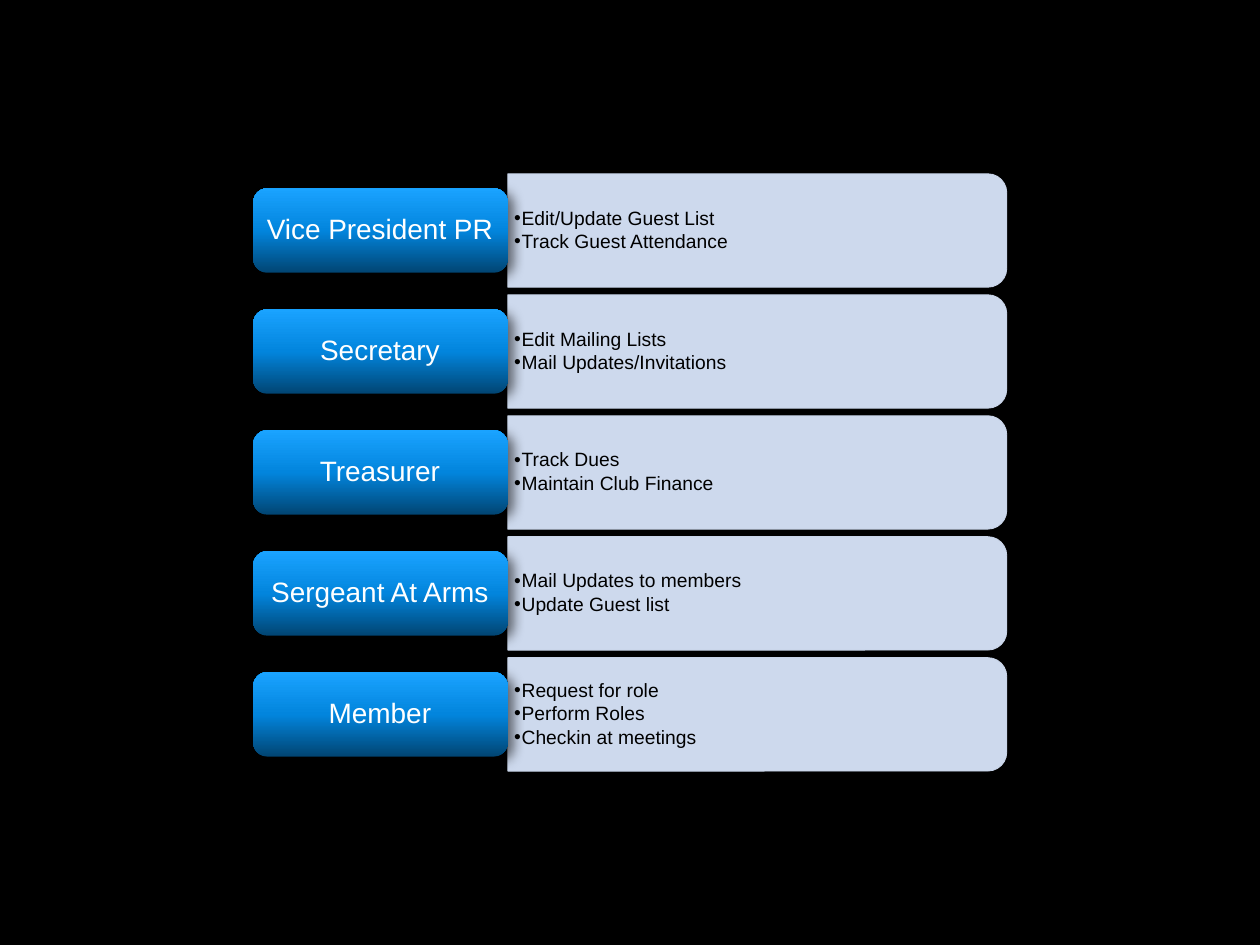
from dataclasses import dataclass

from lxml import etree
from pptx import Presentation
from pptx.dml.color import RGBColor
from pptx.enum.shapes import MSO_SHAPE
from pptx.enum.text import MSO_ANCHOR, PP_ALIGN
from pptx.oxml import parse_xml
from pptx.oxml.ns import qn
from pptx.util import Inches, Pt

ROUND, TOP_ROUND = MSO_SHAPE.ROUNDED_RECTANGLE, MSO_SHAPE.ROUND_2_SAME_RECTANGLE
MIDDLE = MSO_ANCHOR.MIDDLE
LEFT, CENTER = PP_ALIGN.LEFT, PP_ALIGN.CENTER
NS = 'xmlns:a="http://schemas.openxmlformats.org/drawingml/2006/main"'


@dataclass(frozen=True)
class Theme:
    font: str = "Arial"
    back: str = "000000"
    panel: str = "CDD9ED"
    edge: str = "C8D4E9"
    duty: str = "000000"
    title: str = "FFFFFF"
    shade: str = "000000"
    blend: tuple = ((0, "014573"), (50, "0285DD"), (100, "1AA3FF"))
    duty_size: int = 11
    title_size: int = 16


@dataclass(frozen=True)
class Role:
    title: str
    duties: tuple[str, ...]


THEME = Theme()
ROLES = (
    Role("Vice President PR", ("Edit/Update Guest List", "Track Guest Attendance")),
    Role("Secretary", ("Edit Mailing Lists", "Mail Updates/Invitations")),
    Role("Treasurer", ("Track Dues", "Maintain Club Finance")),
    Role("Sergeant At Arms", ("Mail Updates to members", "Update Guest list")),
    Role("Member", ("Request for role", "Perform Roles", "Checkin at meetings")),
)

# Row grid, in inches
FIRST, PITCH = 1.83, 0.96
LABEL_X, LABEL_W, LABEL_H = 2.01, 2.02, 0.67
PANEL_X, PANEL_W, PANEL_H = LABEL_X + LABEL_W, 3.96, 0.9


def add_text(slide, lines, x: float, mid: float, w: float, h: float, *, size: int,
             color: str, align=LEFT, pad=(0.05, 0.02), after: float = 0,
             bullet: bool = False) -> None:
    box = slide.shapes.add_textbox(Inches(x), Inches(mid - h / 2), Inches(w), Inches(h))
    frame = box.text_frame
    frame.word_wrap, frame.vertical_anchor = True, MIDDLE
    frame.margin_left = frame.margin_right = Inches(pad[0])
    frame.margin_top = frame.margin_bottom = Inches(pad[1])
    for i, line in enumerate(lines):
        para = frame.add_paragraph() if i else frame.paragraphs[0]
        para.alignment, para.line_spacing, para.space_after = align, 0.9, Pt(after)
        para.font.size = Pt(size)
        run = para.add_run()
        run.text = line
        run.font.name, run.font.size = THEME.font, Pt(size)
        run.font.color.rgb = RGBColor.from_string(color)
        if bullet:
            para.level = 1
            props = para._p.get_or_add_pPr()
            props.set("marL", str(Inches(0.06)))
            props.set("indent", str(Inches(-0.06)))
            mark = (parse_xml(f'<a:buFont {NS} typeface="{THEME.font}"/>'),
                    parse_xml(f'<a:buChar {NS} char="•"/>'))
            # Bullet settings come before the default run format
            for node in mark:
                props.find(qn("a:defRPr")).addprevious(node)


def add_panel(slide, mid: float, duties: tuple[str, ...]) -> None:
    # A quarter turn puts the rounded top on the right
    left = PANEL_X + (PANEL_W - PANEL_H) / 2
    panel = slide.shapes.add_shape(TOP_ROUND, Inches(left), Inches(mid - PANEL_W / 2),
                                   Inches(PANEL_H), Inches(PANEL_W))
    panel.rotation = 90
    panel.shadow.inherit = False
    panel.fill.solid()
    panel.fill.fore_color.rgb = RGBColor.from_string(THEME.panel)
    panel.line.color.rgb = RGBColor.from_string(THEME.edge)
    panel.line.width = Pt(0.5)
    add_text(slide, duties, PANEL_X, mid, 3.92, 0.82, size=THEME.duty_size,
             color=THEME.duty, after=1.65, bullet=True)


def add_label(slide, mid: float, title: str) -> None:
    label = slide.shapes.add_shape(ROUND, Inches(LABEL_X), Inches(mid - LABEL_H / 2),
                                   Inches(LABEL_W), Inches(LABEL_H))
    label.line.fill.background()
    label.shadow.inherit = False
    # Three-stop fill, running upwards
    label.fill.gradient()
    label.fill.gradient_angle = 90
    props = label._element.spPr
    stops = "".join(f'<a:gs pos="{pos * 1000}"><a:srgbClr val="{color}"/></a:gs>'
                    for pos, color in THEME.blend)
    old = props.find(".//" + qn("a:gsLst"))
    old.getparent().replace(old, parse_xml(f"<a:gsLst {NS}>{stops}</a:gsLst>"))
    # Soft shadow towards the lower right
    shade = etree.SubElement(props.find(qn("a:effectLst")), qn("a:outerShdw"), {
        "blurRad": str(Pt(7)), "dist": str(Pt(4)), "dir": str(35 * 60000),
        "algn": "ctr", "rotWithShape": "0"})
    tone = etree.SubElement(shade, qn("a:srgbClr"), val=THEME.shade)
    etree.SubElement(tone, qn("a:alpha"), val="55000")
    add_text(slide, [title], LABEL_X + 0.03, mid, 1.95, 0.6, size=THEME.title_size,
             color=THEME.title, align=CENTER, pad=(0.07, 0.03))


def main() -> None:
    deck = Presentation()
    deck.slide_width, deck.slide_height = Inches(10), Inches(7.5)
    slide = deck.slides.add_slide(deck.slide_layouts[6])
    slide.background.fill.solid()
    slide.background.fill.fore_color.rgb = RGBColor.from_string(THEME.back)
    for i, role in enumerate(ROLES):
        mid = FIRST + i * PITCH
        add_panel(slide, mid, role.duties)
        add_label(slide, mid, role.title)
    deck.save("out.pptx")


if __name__ == "__main__":
    main()
